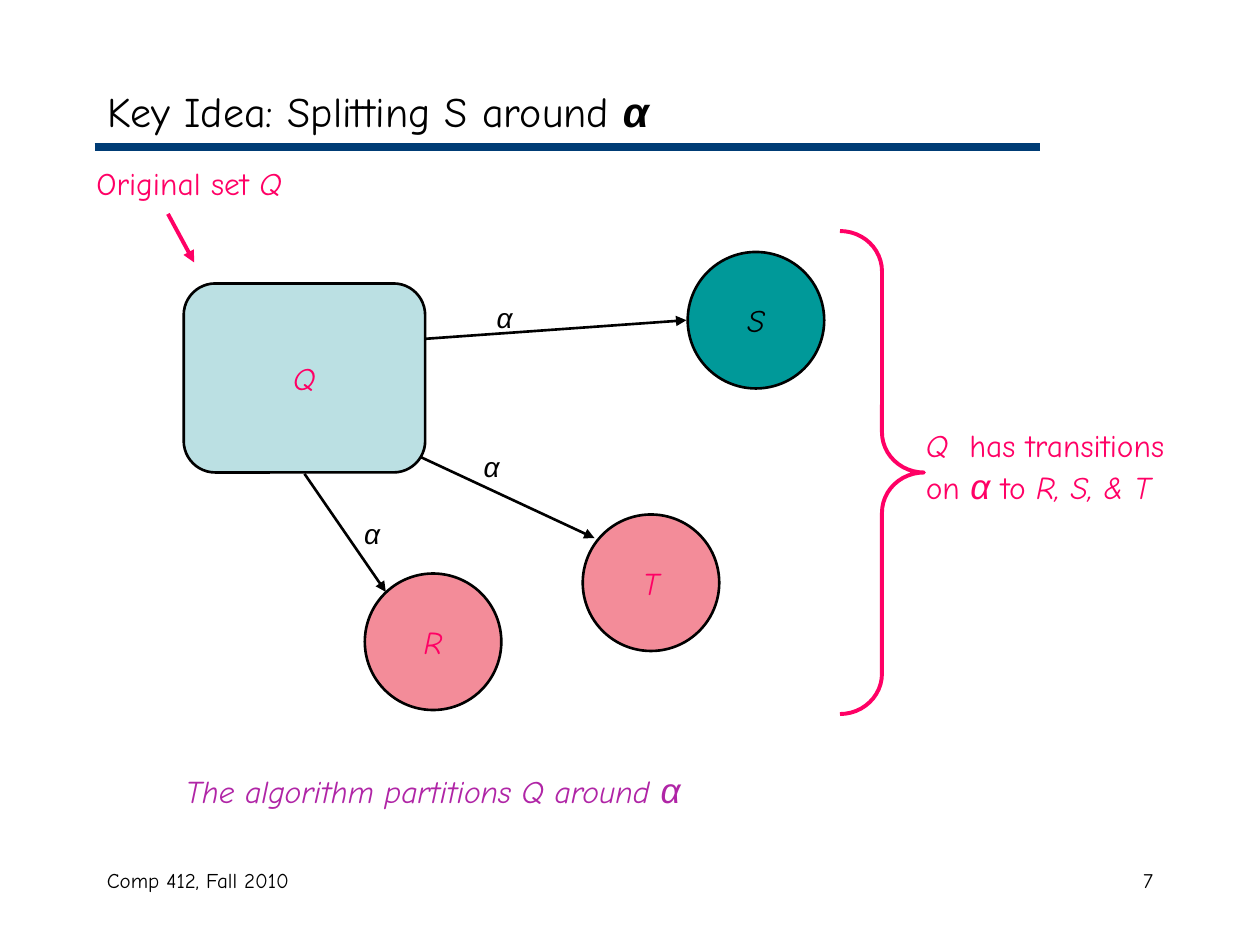
from dataclasses import dataclass

from pptx import Presentation
from pptx.dml.color import RGBColor
from pptx.enum.shapes import MSO_CONNECTOR, MSO_SHAPE
from pptx.enum.text import MSO_ANCHOR, MSO_AUTO_SIZE, PP_ALIGN
from pptx.oxml.ns import qn
from pptx.util import Emu, Pt
from lxml.etree import SubElement

EMU_PER_PX = 9525  # 96 px to the inch
COLORS = {
    "black": "000000",
    "rule": "003C75",
    "pink": "FF0065",
    "purple": "B025A6",
    "pale blue": "BBE0E3",
    "teal": "009999",
    "rose": "F38C99",
}
TEXT_FONT = "Comic Neue"
GREEK_FONT = "Arial"


@dataclass(frozen=True)
class Span:
    text: str
    size: int = 18
    color: str = "black"
    italic: bool = False
    bold: bool = False
    font: str = TEXT_FONT


@dataclass(frozen=True)
class Label:
    left: int
    top: int
    width: int
    height: int
    spans: tuple[Span, ...]
    align: PP_ALIGN = PP_ALIGN.LEFT
    wrap: bool = True


@dataclass(frozen=True)
class StateSet:
    kind: MSO_SHAPE
    left: int
    top: int
    width: int
    height: int
    fill: str
    name: Span


@dataclass(frozen=True)
class Line:
    x1: int
    y1: int
    x2: int
    y2: int
    color: str = "black"
    weight: float = 1.5
    arrow: bool = True


def px(length: int) -> Emu:
    return Emu(length * EMU_PER_PX)


def rgb(name: str) -> RGBColor:
    return RGBColor.from_string(COLORS[name])


def write(frame, spans: tuple[Span, ...], align: PP_ALIGN, anchor: MSO_ANCHOR, wrap: bool = True) -> None:
    frame.auto_size = MSO_AUTO_SIZE.NONE
    frame.word_wrap = wrap
    frame.vertical_anchor = anchor
    para = frame.paragraphs[0]
    para.alignment = align
    for span in spans:
        run = para.add_run()
        run.text = span.text
        run.font.name = span.font
        run.font.size = Pt(span.size)
        run.font.bold = span.bold
        run.font.italic = span.italic
        run.font.color.rgb = rgb(span.color)


def add_label(page, label: Label) -> None:
    box = page.shapes.add_textbox(px(label.left), px(label.top), px(label.width), px(label.height))
    write(box.text_frame, label.spans, label.align, MSO_ANCHOR.TOP, label.wrap)


def add_state_set(page, state: StateSet) -> None:
    shape = page.shapes.add_shape(
        state.kind, px(state.left), px(state.top), px(state.width), px(state.height))
    shape.shadow.inherit = False
    shape.fill.solid()
    shape.fill.fore_color.rgb = rgb(state.fill)
    shape.line.color.rgb = rgb("black")
    shape.line.width = Pt(1.5)
    write(shape.text_frame, (state.name,), PP_ALIGN.CENTER, MSO_ANCHOR.MIDDLE, wrap=False)


def add_line(page, line: Line) -> None:
    connector = page.shapes.add_connector(
        MSO_CONNECTOR.STRAIGHT, px(line.x1), px(line.y1), px(line.x2), px(line.y2))
    connector.line.color.rgb = rgb(line.color)
    connector.line.width = Pt(line.weight)
    properties = connector.element.spPr
    if line.arrow:
        SubElement(properties.find(qn("a:ln")), qn("a:tailEnd"), type="triangle")
    SubElement(properties, qn("a:effectLst"))


def add_brace(page, left: int, top: int, width: int, height: int) -> None:
    brace = page.shapes.add_shape(MSO_SHAPE.RIGHT_BRACE, px(left), px(top), px(width), px(height))
    brace.adjustments[0] = 0.48
    brace.shadow.inherit = False
    brace.fill.background()
    brace.line.color.rgb = rgb("pink")
    brace.line.width = Pt(2.25)


def alpha(size: int, color: str = "black", bold: bool = False) -> Span:
    return Span("α", size, color, italic=True, bold=bold, font=GREEK_FONT)


def set_name(letter: str, color: str = "pink") -> Span:
    return Span(letter, color=color, italic=True)


CIRCLE = 104
STATE_SETS = (
    StateSet(MSO_SHAPE.ROUNDED_RECTANGLE, 140, 216, 184, 144, "pale blue", set_name("Q")),
    StateSet(MSO_SHAPE.OVAL, 524, 192, CIRCLE, CIRCLE, "teal", set_name("S", "black")),
    StateSet(MSO_SHAPE.OVAL, 278, 437, CIRCLE, CIRCLE, "rose", set_name("R")),
    StateSet(MSO_SHAPE.OVAL, 444, 392, CIRCLE, CIRCLE, "rose", set_name("T")),
)
LINES = (
    Line(72, 112, 792, 112, "rule", 4.5, arrow=False),
    Line(298, 260, 523, 244),
    Line(232, 361, 294, 451),
    Line(320, 348, 453, 410),
    Line(128, 163, 148, 200, "pink", 2.25),
)
ALPHA_CORNERS = ((369, 224), (268, 389), (359, 338))
LABELS = (
    Label(64, 120, 200, 38, (Span("Original set ", color="pink"), set_name("Q"))),
    Label(696, 320, 232, 71, (
        set_name("Q  "),
        Span("has transitions on ", color="pink"),
        alpha(20, "pink"),
        Span(" to ", color="pink"),
        set_name("R, S, & T"),
    )),
    Label(132, 581, 434, 42, (
        Span("The algorithm partitions Q around ", color="purple", italic=True),
        alpha(20, "purple"),
    ), wrap=False),
    Label(72, 656, 304, 48, (Span("Comp 412, Fall 2010", 12),)),
    Label(688, 656, 200, 48, (Span("7", 12),), PP_ALIGN.RIGHT),
)


def main() -> None:
    deck = Presentation()
    deck.slide_width, deck.slide_height = px(960), px(720)
    page = deck.slides.add_slide(deck.slide_layouts[5])

    # Title
    title = page.shapes.title
    title.left, title.top, title.width, title.height = px(72), px(56), px(816), px(56)
    heading = (Span("Key Idea: Splitting S around ", 24), alpha(24, bold=True))
    write(title.text_frame, heading, PP_ALIGN.LEFT, MSO_ANCHOR.MIDDLE)

    # Title rule, transitions and pointer
    for line in LINES:
        add_line(page, line)

    # Sets of states
    for state in STATE_SETS:
        add_state_set(page, state)
    add_brace(page, 640, 176, 64, 368)

    # Transition labels, notes and footer
    for left, top in ALPHA_CORNERS:
        add_label(page, Label(left, top, 33, 36, (alpha(16),), wrap=False))
    for label in LABELS:
        add_label(page, label)

    deck.save("out.pptx")


if __name__ == "__main__":
    main()
